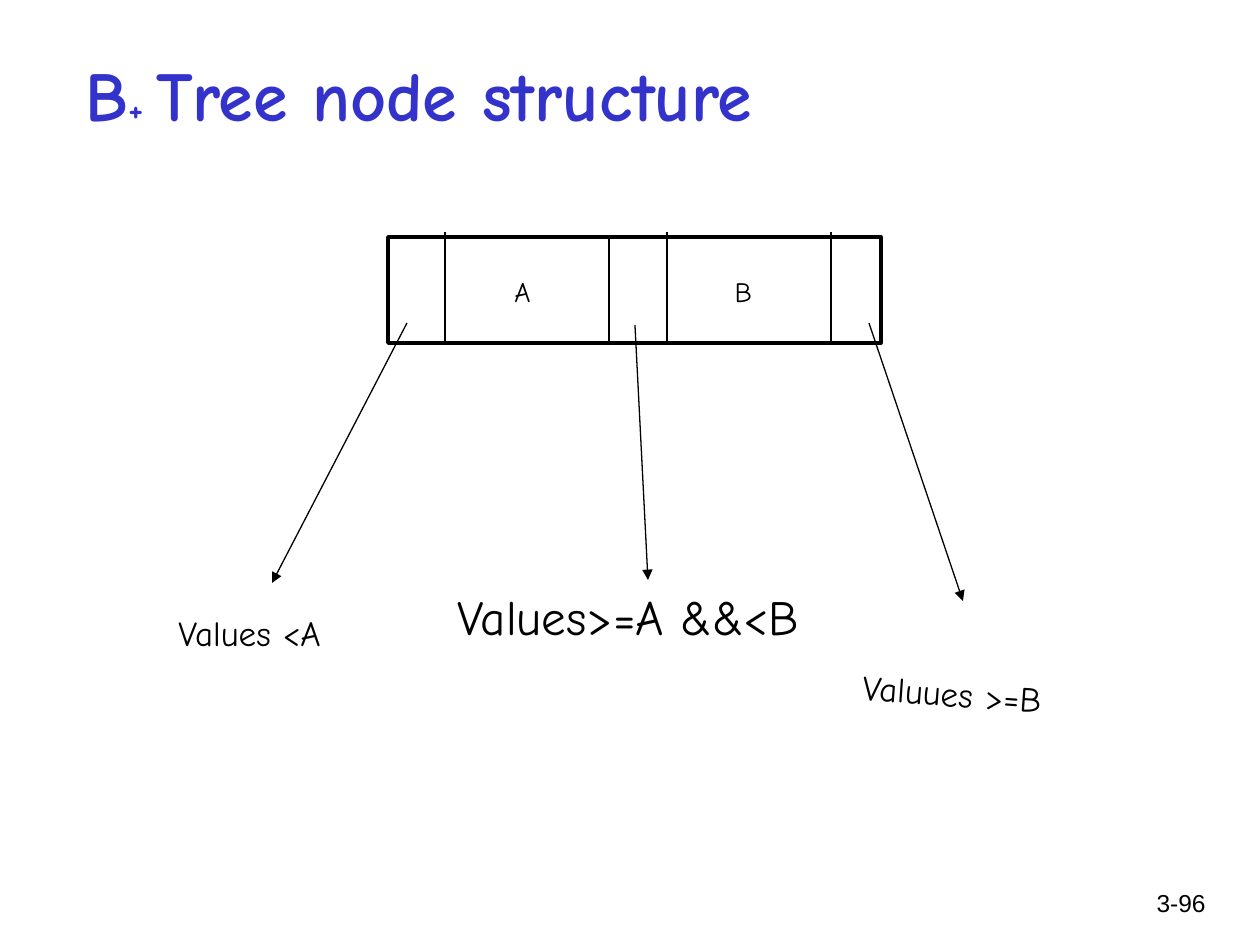
from dataclasses import dataclass

import pptx
import pptx.dml.color
import pptx.enum.shapes
import pptx.enum.text
import pptx.util
from lxml import etree
from pptx.oxml.ns import qn

PX_PER_INCH = 126
ALIGN = pptx.enum.text.PP_ALIGN
ANCHOR = pptx.enum.text.MSO_ANCHOR


@dataclass(frozen=True)
class Theme:
    ink: str = "000000"
    paper: str = "FFFFFF"
    title: str = "3333CC"
    font: str = "Comic Neue"
    number_font: str = "Arial"
    title_pt: int = 40
    plus_pt: int = 20
    range_pt: int = 28
    label_pt: int = 20
    key_pt: int = 16
    number_pt: int = 14
    border_pt: float = 2
    line_pt: float = 0.75


@dataclass(frozen=True)
class Box:
    x: int
    y: int
    w: int
    h: int


@dataclass(frozen=True)
class Label:
    text: str
    box: Box
    size: int
    rotation: float = 0
    font: str = Theme.font
    align: ALIGN = ALIGN.LEFT


@dataclass(frozen=True)
class Line:
    x1: int
    y1: int
    x2: int
    y2: int
    arrow: bool = False


THEME = Theme()
TITLE = Box(73, 32, 1071, 123)
NODE = Box(388, 237, 493, 106)
NODE_BOTTOM = NODE.y + NODE.h
KEY_INSET = 38  # drops the keys below the middle of the node
KEY_TABS = (122, 343)  # key centres, from the node's left inset

DIVIDERS = [Line(x, top, x, NODE_BOTTOM)
            for x, top in ((445, 232), (609, 237), (667, 232), (831, 232))]
POINTERS = [
    Line(407, 323, 272, 583, True),
    Line(635, 325, 648, 580, True),
    Line(869, 323, 963, 601, True),
]
LABELS = [
    Label("Values <A", Box(166, 605, 241, 55), THEME.label_pt),
    Label("Values>=A &&<B", Box(445, 580, 436, 72), THEME.range_pt),
    Label("Valuues >=B", Box(850, 670, 324, 55), THEME.label_pt, rotation=4.1),
    Label("3-96", Box(1125, 882, 93, 63), THEME.number_pt,
          font=THEME.number_font, align=ALIGN.RIGHT),
]


def px(n: int) -> int:
    return round(n * 914400 / PX_PER_INCH)


def rgb(value: str) -> pptx.dml.color.RGBColor:
    return pptx.dml.color.RGBColor.from_string(value)


def frame(box: Box) -> tuple[int, ...]:
    return px(box.x), px(box.y), px(box.w), px(box.h)


def style(font, name: str, size: int, color: str) -> None:
    font.name = name
    font.size = pptx.util.Pt(size)
    font.color.rgb = rgb(color)


def add_title(slide) -> None:
    tf = slide.shapes.add_textbox(*frame(TITLE)).text_frame
    tf.word_wrap = True
    tf.vertical_anchor = ANCHOR.MIDDLE
    p = tf.paragraphs[0]
    style(p.font, THEME.font, THEME.title_pt, THEME.title)
    p.font.bold = True
    for text, size in (("B", THEME.title_pt), ("+ ", THEME.plus_pt),
                       ("Tree node structure", THEME.title_pt)):
        r = p.add_run()
        r.text = text
        r.font.size = pptx.util.Pt(size)


def add_node(slide) -> None:
    sp = slide.shapes.add_shape(pptx.enum.shapes.MSO_SHAPE.RECTANGLE, *frame(NODE))
    sp.shadow.inherit = False
    sp.fill.solid()
    sp.fill.fore_color.rgb = rgb(THEME.paper)
    sp.line.color.rgb = rgb(THEME.ink)
    sp.line.width = pptx.util.Pt(THEME.border_pt)
    tf = sp.text_frame
    tf.word_wrap = True
    tf.vertical_anchor = ANCHOR.TOP
    tf.margin_top = px(KEY_INSET)
    p = tf.paragraphs[0]
    p.text = "\tA\tB"
    p.alignment = ALIGN.LEFT
    # One centred tab stop per key
    tabs = etree.SubElement(p._p.get_or_add_pPr(), qn("a:tabLst"))
    for pos in KEY_TABS:
        etree.SubElement(tabs, qn("a:tab"), pos=str(px(pos)), algn="ctr")
    style(p.font, THEME.font, THEME.key_pt, THEME.ink)


def add_line(slide, line: Line) -> None:
    cxn = slide.shapes.add_connector(
        pptx.enum.shapes.MSO_CONNECTOR.STRAIGHT,
        px(line.x1), px(line.y1), px(line.x2), px(line.y2))
    cxn.line.color.rgb = rgb(THEME.ink)
    cxn.line.width = pptx.util.Pt(THEME.line_pt)
    if line.arrow:
        etree.SubElement(cxn.line._get_or_add_ln(), qn("a:tailEnd"), type="triangle")
    etree.SubElement(cxn._element.spPr, qn("a:effectLst"))


def add_label(slide, label: Label) -> None:
    sp = slide.shapes.add_textbox(*frame(label.box))
    sp.rotation = label.rotation
    tf = sp.text_frame
    tf.word_wrap = True
    p = tf.paragraphs[0]
    p.text = label.text
    p.alignment = label.align
    style(p.font, label.font, label.size, THEME.ink)


def main() -> None:
    prs = pptx.Presentation()
    prs.slide_width = pptx.util.Inches(10)
    prs.slide_height = pptx.util.Inches(7.5)
    slide = prs.slides.add_slide(prs.slide_layouts[6])

    # Title and node
    add_title(slide)
    add_node(slide)

    # Cell dividers and child pointers
    for line in DIVIDERS + POINTERS:
        add_line(slide, line)

    # Value ranges and page number
    for label in LABELS:
        add_label(slide, label)

    prs.save("out.pptx")


if __name__ == "__main__":
    main()
